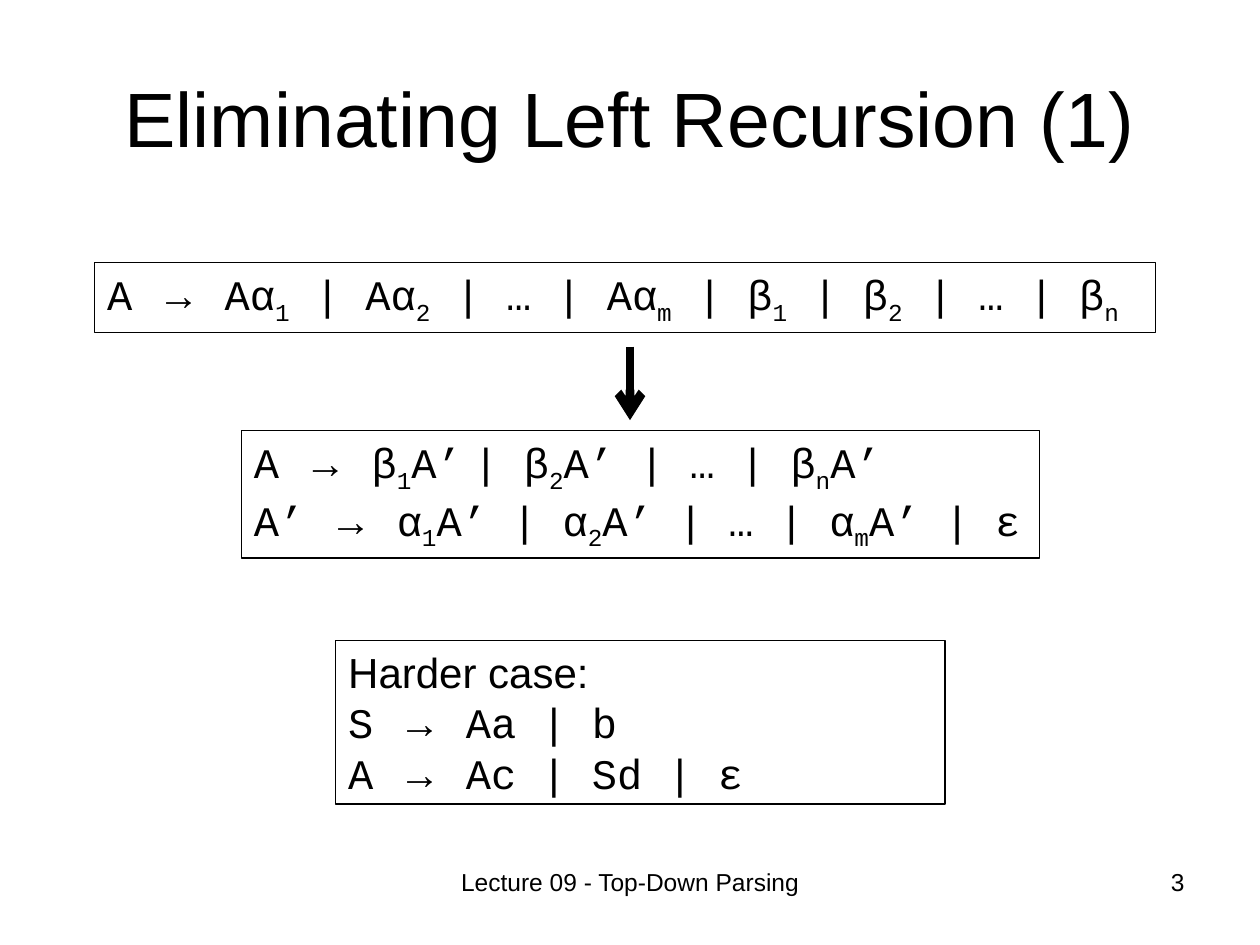
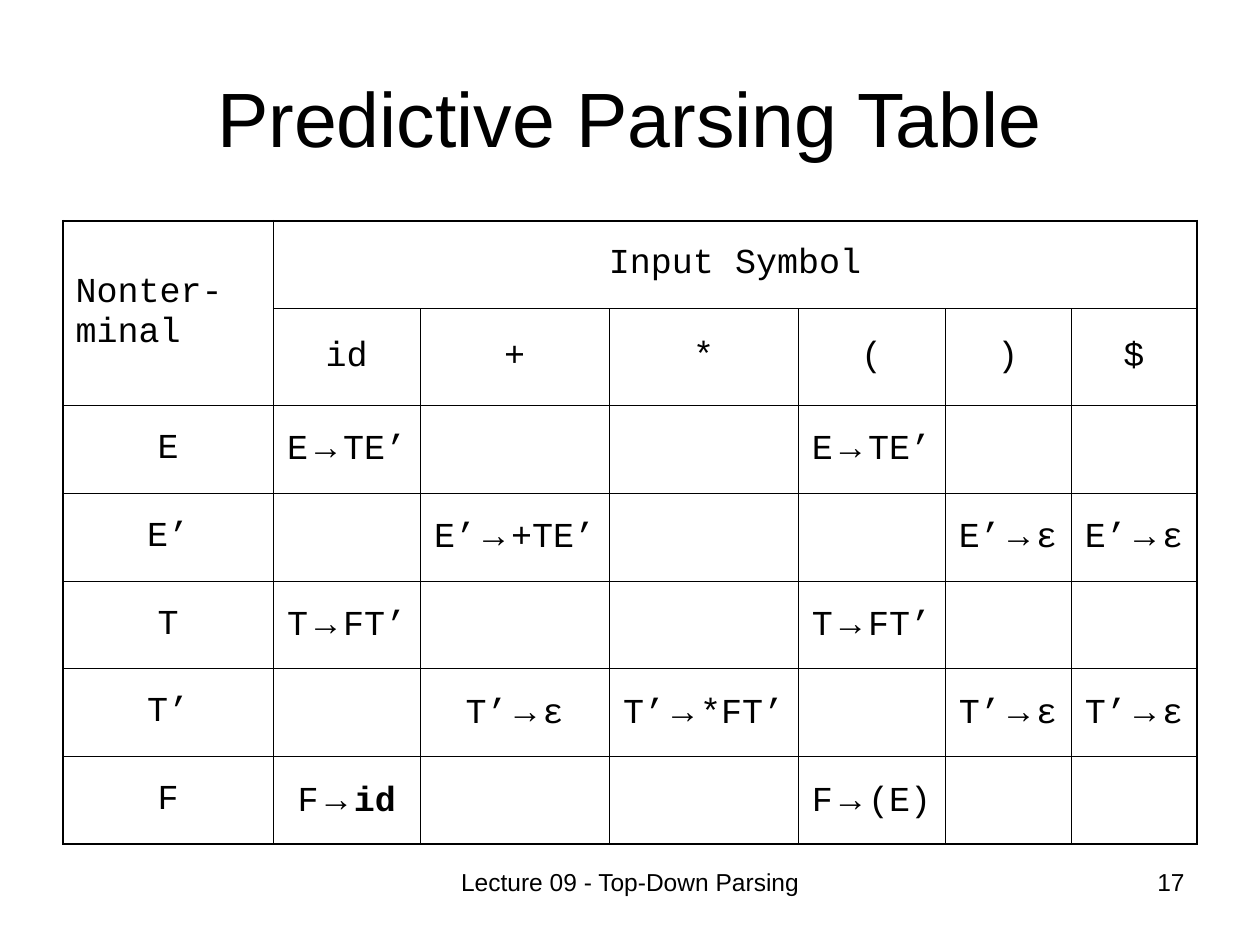
from itertools import groupby

from lxml.etree import SubElement
from pptx import Presentation
from pptx.dml.color import RGBColor
from pptx.enum.shapes import MSO_CONNECTOR, MSO_SHAPE
from pptx.enum.text import MSO_ANCHOR, MSO_AUTO_SIZE, PP_ALIGN
from pptx.oxml.ns import qn
from pptx.util import Cm, Pt

COLORS = {"ink": "000000"}
INK = RGBColor.from_string(COLORS["ink"])
MARKS = {"_": "subscript", "`": "bold", "~": "sans"}
STYLES = {
    "code": {"name": "Courier New", "bold": False},
    "subscript": {"name": "Courier New", "bold": False},
    "bold": {"name": "Courier New", "bold": True},
    "sans": {"name": "Arial", "bold": False},
}


def write_line(paragraph, text, size, base="code", **paragraph_format):
    """Write text in which _x_ is subscript, `x` is bold and ~x~ is sans serif."""
    for attribute, value in paragraph_format.items():
        setattr(paragraph, attribute, value)
    styled, style = [], base
    for char in text:
        if base == "code" and char in MARKS:
            style = base if style == MARKS[char] else MARKS[char]
        else:
            styled.append((char, "sans" if char == "→" else style))
    for name, group in groupby(styled, key=lambda pair: pair[1]):
        run = paragraph.add_run()
        run.text = "".join(char for char, _ in group)
        for attribute, value in {**STYLES[name], "size": Pt(size)}.items():
            setattr(run.font, attribute, value)
        run.font.color.rgb = INK
        if name == "subscript":
            run._r.get_or_add_rPr().set("baseline", "-25000")


def add_lecture_slide(title, number):
    """Add a slide with its title, footer and slide number."""
    slide = presentation.slides.add_slide(presentation.slide_layouts[6])
    shared_texts = [
        (title, 44, PP_ALIGN.CENTER, MSO_ANCHOR.MIDDLE, (1.27, 0.76, 22.86, 3.18)),
        ("Lecture 09 - Top-Down Parsing", 14, PP_ALIGN.CENTER, MSO_ANCHOR.TOP,
         (8.68, 17.35, 8.05, 1.32)),
        (str(number), 14, PP_ALIGN.RIGHT, MSO_ANCHOR.TOP, (18.21, 17.35, 5.92, 1.32)),
    ]
    for text, size, alignment, anchor, place in shared_texts:
        frame = slide.shapes.add_textbox(*map(Cm, place)).text_frame
        frame.word_wrap = True
        frame.vertical_anchor = anchor
        write_line(frame.paragraphs[0], text, size, "sans", alignment=alignment)
    return slide


presentation = Presentation()
presentation.slide_width, presentation.slide_height = Cm(25.4), Cm(19.05)

# Eliminating left recursion
slide = add_lecture_slide("Eliminating Left Recursion (1)", 3)
grammar_boxes = [
    ((1.91, 5.29, 21.38, 1.42), 15,
     ["A → Aα_1_ | Aα_2_ | … | Aα_m_ | β_1_ | β_2_ | … | β_n_"]),
    ((4.87, 8.68, 16.08, 2.57), 0,
     ["A → β_1_A’~ ~| β_2_A’ | … | β_n_A’",
      "A’ → α_1_A’ | α_2_A’ | … | α_m_A’ | ε"]),
    ((6.77, 12.91, 12.28, 3.3), 0,
     ["~Harder case:~", "S → Aa | b", "A → Ac | Sd | ε"]),
]
for place, space_before, rules in grammar_boxes:
    box = slide.shapes.add_shape(MSO_SHAPE.RECTANGLE, *map(Cm, place))
    box.shadow.inherit = False
    box.fill.background()
    box.line.color.rgb = INK
    box.line.width = Pt(0.75)
    frame = box.text_frame
    frame_format = {"word_wrap": True, "vertical_anchor": MSO_ANCHOR.TOP,
                    "auto_size": MSO_AUTO_SIZE.SHAPE_TO_FIT_TEXT}
    for attribute, value in frame_format.items():
        setattr(frame, attribute, value)
    for index, rule in enumerate(rules):
        paragraph = frame.add_paragraph() if index else frame.paragraphs[0]
        write_line(paragraph, rule, 24, alignment=PP_ALIGN.LEFT,
                   space_before=Pt(space_before))

arrow = slide.shapes.add_connector(
    MSO_CONNECTOR.STRAIGHT, Cm(12.7), Cm(6.99), Cm(12.7), Cm(8.47))
arrow.line.color.rgb = INK
arrow.line.width = Pt(5)
SubElement(arrow.line._get_or_add_ln(), qn("a:tailEnd"), type="arrow")
SubElement(arrow._element.spPr, qn("a:effectLst"))

# Predictive parsing table
slide = add_lecture_slide("Predictive Parsing Table", 17)
parsing_rows = [
    ["Nonter-minal", "Input Symbol", "", "", "", "", ""],
    ["", "id", "+", "*", "(", ")", "$"],
    ["E", "E→TE’", "", "", "E→TE’", "", ""],
    ["E’", "", "E’→+TE’", "", "", "E’→ε", "E’→ε"],
    ["T", "T→FT’", "", "", "T→FT’", "", ""],
    ["T’", "", "T’→ε", "T’→*FT’", "", "T’→ε", "T’→ε"],
    ["F", "F→`id`", "", "", "F→(E)", "", ""],
]
column_widths = [4.24, 2.96, 3.81, 3.81, 2.96, 2.54, 2.54]
row_heights = [1.77, 1.95] + [1.77] * 5
last_row, last_column = len(row_heights) - 1, len(column_widths) - 1
table = slide.shapes.add_table(
    len(row_heights), len(column_widths), Cm(1.27), Cm(4.45),
    Cm(sum(column_widths)), Cm(sum(row_heights))).table
table.first_row = table.horz_banding = False
for column, width in zip(table.columns, column_widths):
    column.width = Cm(width)
for row, height in zip(table.rows, row_heights):
    row.height = Cm(height)
table.cell(0, 0).merge(table.cell(1, 0))
table.cell(0, 1).merge(table.cell(0, last_column))

for row_index, texts in enumerate(parsing_rows):
    for column_index, text in enumerate(texts):
        cell = table.cell(row_index, column_index)
        cell.vertical_anchor = MSO_ANCHOR.MIDDLE
        right_column, bottom_row = column_index, row_index
        if cell.is_merge_origin:
            right_column += cell.span_width - 1
            bottom_row += cell.span_height - 1
        outer_sides = {
            "a:lnL": column_index == 0,
            "a:lnR": right_column == last_column,
            "a:lnT": row_index == 0,
            "a:lnB": bottom_row == last_row,
        }
        properties = cell._tc.get_or_add_tcPr()
        for side, is_outer in outer_sides.items():
            border = SubElement(properties, qn(side), w=str(Pt(1.08 if is_outer else 0.45)))
            fill = SubElement(border, qn("a:solidFill"))
            SubElement(fill, qn("a:srgbClr"), val=COLORS["ink"])
        cell.fill.background()
        if text:
            is_corner = row_index == column_index == 0
            write_line(cell.text_frame.paragraphs[0], text, 20, space_before=Pt(5),
                       alignment=PP_ALIGN.LEFT if is_corner else PP_ALIGN.CENTER)

presentation.save("out.pptx")
